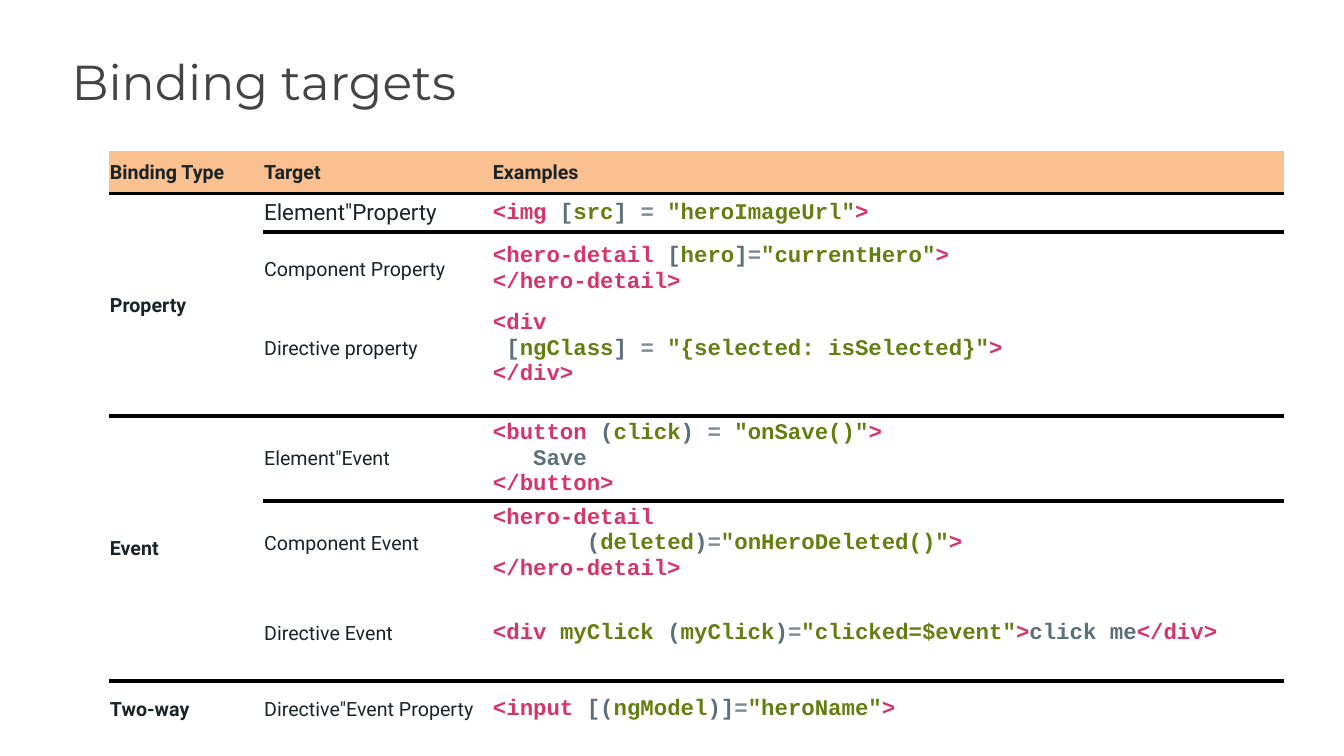
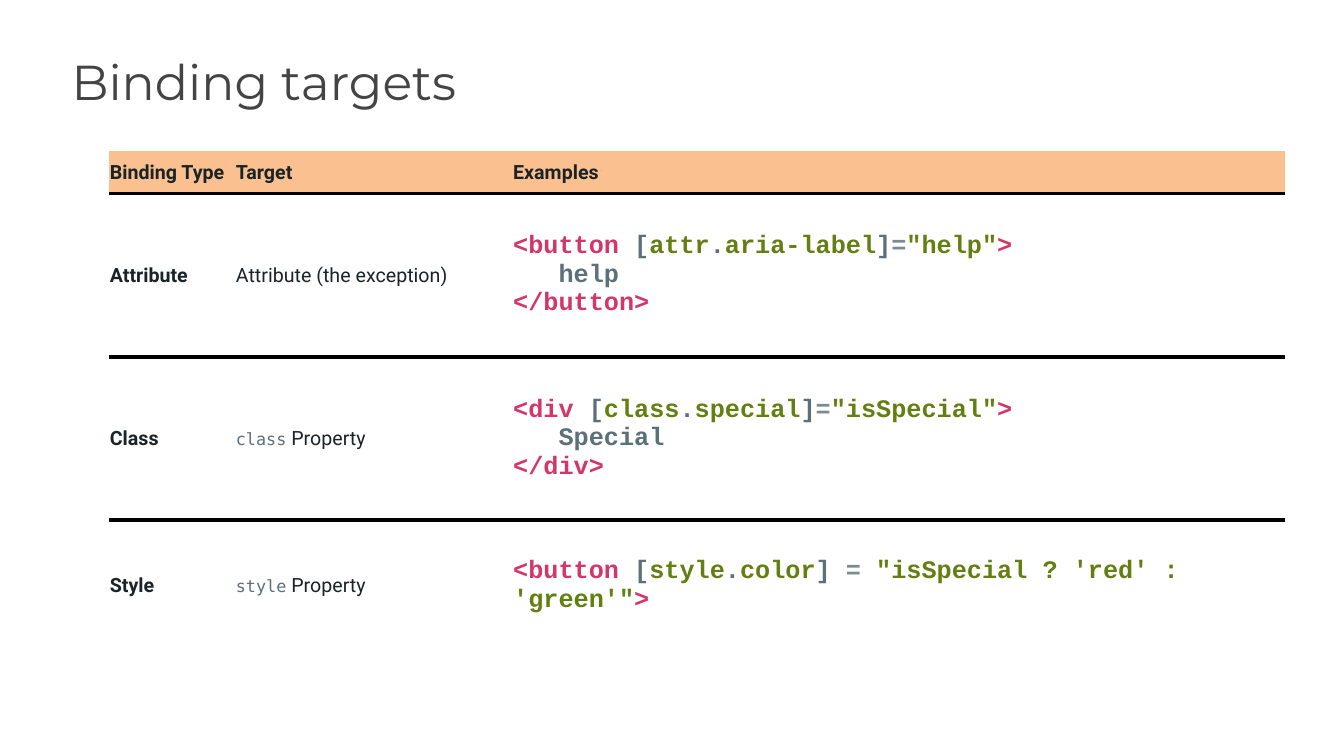
"""Build two slides that list the binding targets of a template syntax."""
from lxml import etree
from pptx import Presentation
from pptx import util as u
from pptx.dml.color import RGBColor
from pptx.enum import text
from pptx.oxml.ns import qn

COLORS = {"title": "444444", "ink": "1A2326", "header": "FAC090", "rule": "000000",
          "tag": "D43669", "mark": "5C707A", "name": "647F11", "equals": "7A8B94"}
PROSE_STYLES = {"label": ("Roboto", 14, "ink", True),
                "target": ("Roboto", 14, "ink", False),
                "large": ("Roboto", 16, "ink", False),
                "keyword": ("DejaVu Sans Mono", 12, "mark", False)}
HEADINGS = ("Binding Type", "Target", "Examples")
NO_TABLE_STYLE = "{2D5ABB26-0587-4C30-8999-92F81FD0307C}"
RULE_WIDTH = 3

SLIDES = [
    {
        "columns": [1.53, 2.27, 7.86],
        "heights": [0.42, 0.38, 0.74, 0.84, 0.25, 0.84, 0.84, 0.95, 0.56],
        "ruled_rows": [0, 4, 7],
        "merges": [(1, 4), (5, 7)],
        "code_size": 16,
        "rows": [
            ("Property", [("large", 'Element"Property')], [
                [("tag", "<img"), ("mark", " ["), ("name", "src"), ("mark", "] "),
                 ("equals", "= "), ("name", '"heroImageUrl"'), ("tag", ">")]]),
            ("", [("target", "Component Property")], [
                [("tag", "<hero-detail"), ("mark", " ["), ("name", "hero"), ("mark", "]"),
                 ("equals", "="), ("name", '"currentHero"'), ("tag", ">")],
                [("tag", "</hero-detail>")]]),
            ("", [("target", "Directive property")], [
                [("tag", "<div")],
                [("mark", " ["), ("name", "ngClass"), ("mark", "] "), ("equals", "= "),
                 ("name", '"{selected: isSelected}"'), ("tag", ">")],
                [("tag", "</div>")]]),
            ("", [], []),
            ("Event", [("target", 'Element"Event')], [
                [("tag", "<button"), ("mark", " ("), ("name", "click"), ("mark", ") "),
                 ("equals", "= "), ("name", '"onSave()"'), ("tag", ">")],
                [("mark", "   Save")],
                [("tag", "</button>")]]),
            ("", [("target", "Component Event")], [
                [("tag", "<hero-detail")],
                [("mark", "       ("), ("name", "deleted"), ("mark", ")"), ("equals", "="),
                 ("name", '"onHeroDeleted()"'), ("tag", ">")],
                [("tag", "</hero-detail>")]]),
            ("", [("target", "Directive Event")], [
                [("tag", "<div "), ("name", "myClick"), ("mark", " ("), ("name", "myClick"),
                 ("mark", ")"), ("equals", "="), ("name", '"clicked=$event"'), ("tag", ">"),
                 ("mark", "click me"), ("tag", "</div>")]]),
            ("Two-way", [("target", 'Directive"Event Property')], [
                [("tag", "<input"), ("mark", " [("), ("name", "ngModel"), ("mark", ")]"),
                 ("equals", "="), ("name", '"heroName"'), ("tag", ">")]]),
        ],
    },
    {
        "columns": [1.25, 2.75, 7.67],
        "heights": [0.42, 1.62, 1.62, 1.3],
        "ruled_rows": [0, 1, 2],
        "merges": [],
        "code_size": 18,
        "rows": [
            ("Attribute", [("target", "Attribute (the exception)")], [
                [("tag", "<button"), ("mark", " ["), ("name", "attr"), ("mark", "."),
                 ("name", "aria-label"), ("mark", "]"), ("equals", "="),
                 ("name", '"help"'), ("tag", ">")],
                [("mark", "   help")],
                [("tag", "</button>")]]),
            ("Class", [("keyword", "class"), ("target", " Property")], [
                [("tag", "<div"), ("mark", " ["), ("name", "class"), ("mark", "."),
                 ("name", "special"), ("mark", "]"), ("equals", "="),
                 ("name", '"isSpecial"'), ("tag", ">")],
                [("mark", "   Special")],
                [("tag", "</div>")]]),
            ("Style", [("keyword", "style"), ("target", " Property")], [
                [("tag", "<button"), ("mark", " ["), ("name", "style"), ("mark", "."),
                 ("name", "color"), ("mark", "] "), ("equals", "= "),
                 ("name", "\"isSpecial ? 'red' : 'green'\""), ("tag", ">")]]),
        ],
    },
]


def add_run(paragraph, words, font_name, size, color, bold):
    run = paragraph.add_run()
    run.text = words
    run.font.name = font_name
    run.font.size = u.Pt(size)
    run.font.bold = bold
    run.font.color.rgb = RGBColor.from_string(COLORS[color])


def add_rule(cell, side):
    line = etree.SubElement(cell._tc.get_or_add_tcPr(), qn(f"a:{side}"),
                            w=str(u.Pt(RULE_WIDTH)))
    fill = etree.SubElement(line, qn("a:solidFill"))
    etree.SubElement(fill, qn("a:srgbClr"), val=COLORS["rule"])


prs = Presentation()
prs.slide_width, prs.slide_height = u.Inches(13.33), u.Inches(7.5)

for content in SLIDES:
    slide = prs.slides.add_slide(prs.slide_layouts[5])
    title = slide.shapes.title
    title.left, title.top = u.Inches(0.61), u.Inches(0.42)
    title.width, title.height = u.Inches(12.36), u.Inches(0.83)
    title.text_frame.vertical_anchor = text.MSO_ANCHOR.MIDDLE
    heading = title.text_frame.paragraphs[0]
    heading.alignment = text.PP_ALIGN.LEFT
    heading.line_spacing = 0.9
    add_run(heading, "Binding targets", "Montserrat", 35, "title", False)

    columns, heights = content["columns"], content["heights"]
    targets = slide.shapes.add_table(
        len(heights), len(columns), u.Inches(1.08), u.Inches(1.5),
        u.Inches(sum(columns)), u.Inches(sum(heights))).table
    targets.first_row = targets.horz_banding = False
    targets._tbl.tblPr.find(qn("a:tableStyleId")).text = NO_TABLE_STYLE
    for column, width in zip(targets.columns, columns):
        column.width = u.Inches(width)
    for row, height in zip(targets.rows, heights):
        row.height = u.Inches(height)
    for first, last in content["merges"]:
        targets.cell(first, 0).merge(targets.cell(last, 0))

    cell_texts = [[[[("label", words)]] for words in HEADINGS]]
    for binding, target, code in content["rows"]:
        cell_texts.append([[[("label", binding)]] if binding else [], [target], code])

    for row_index, row_texts in enumerate(cell_texts):
        for column_index, lines in enumerate(row_texts):
            cell = targets.cell(row_index, column_index)
            cell.vertical_anchor = text.MSO_ANCHOR.MIDDLE
            cell.margin_left = cell.margin_top = cell.margin_right = u.Inches(0.01)
            cell.margin_bottom = 0
            if row_index - 1 in content["ruled_rows"]:
                add_rule(cell, "lnT")
            if row_index in content["ruled_rows"]:
                add_rule(cell, "lnB")
            if row_index == 0:
                cell.fill.solid()
                cell.fill.fore_color.rgb = RGBColor.from_string(COLORS["header"])
            else:
                cell.fill.background()

            frame = cell.text_frame
            for line_index, line in enumerate(lines):
                paragraph = frame.add_paragraph() if line_index else frame.paragraphs[0]
                for kind, words in line:
                    style = PROSE_STYLES.get(
                        kind, ("Courier New", content["code_size"], kind, True))
                    add_run(paragraph, words, *style)
            if not any(lines):
                etree.SubElement(frame.paragraphs[0]._p, qn("a:endParaRPr"), sz="1200")

prs.save("out.pptx")
